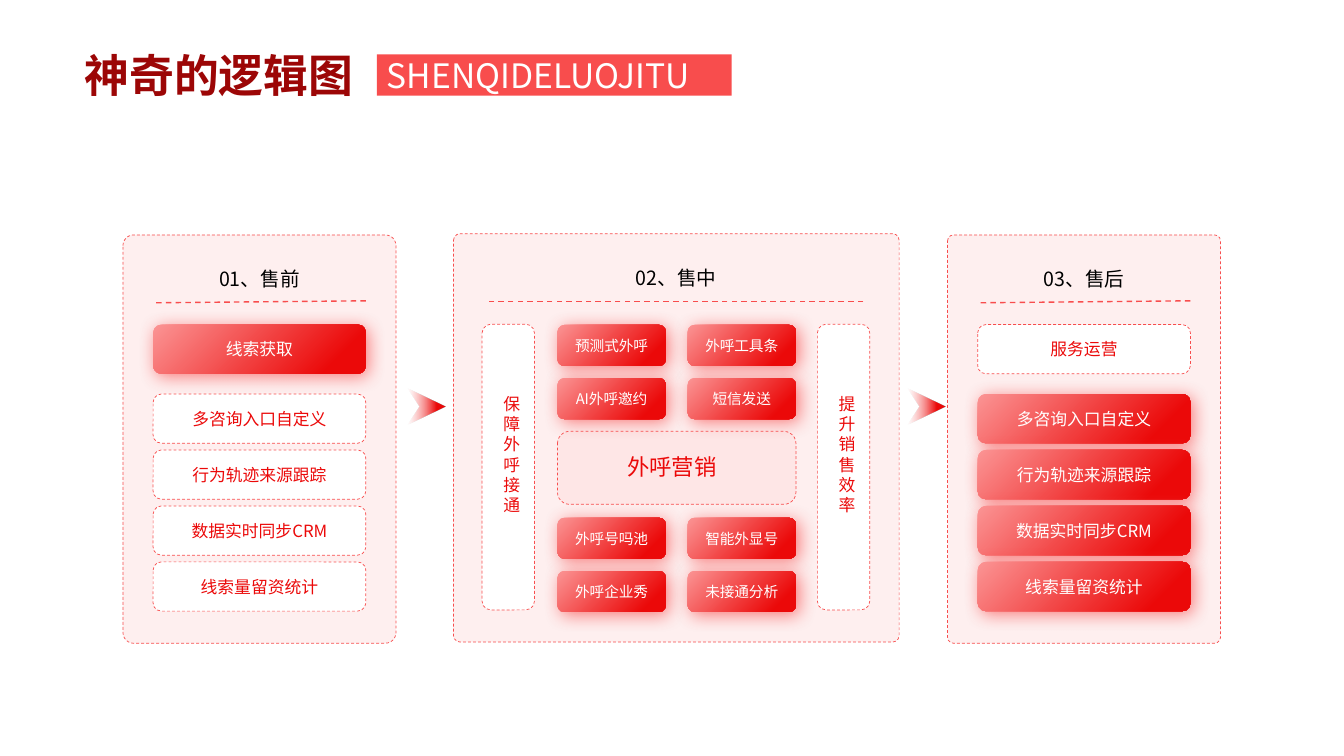
from collections import namedtuple
from dataclasses import dataclass

from lxml.etree import SubElement
from pptx import Presentation
from pptx.dml.color import RGBColor
from pptx.enum.dml import MSO_LINE
from pptx.enum.shapes import MSO_CONNECTOR, MSO_SHAPE
from pptx.enum.text import MSO_ANCHOR, PP_ALIGN
from pptx.oxml.ns import qn
from pptx.util import Cm, Pt

Box = namedtuple("Box", "left top width height")


@dataclass(frozen=True)
class Theme:
    """Colours, fonts and type sizes of the slide."""
    white: str = "FFFFFF"
    black: str = "000000"
    red: str = "EB0909"
    coral: str = "F84D4D"
    pink: str = "FB9494"
    blush: str = "FEDBDB"
    maroon: str = "9C0606"
    blush_opacity: int = 43
    label_font: str = "Noto Sans CJK JP"
    heading_font: str = "Noto Sans CJK SC"
    title_size: float = 32
    banner_size: float = 24
    centre_size: float = 16
    heading_size: float = 14
    label_size: float = 12
    small_size: float = 10.5
    column_leading: float = 14.4


THEME = Theme()
SERVICES = ["多咨询入口自定义", "行为轨迹来源跟踪", "数据实时同步CRM", "线索量留资统计"]


def inside(box, left, top, width, height):
    """Return a box placed relative to the corner of another box."""
    return Box(box.left + left, box.top + top, width, height)


def add_colour(parent, colour, opacity=100):
    """Append a colour element, with alpha when it is not opaque."""
    element = SubElement(parent, qn("a:srgbClr"), val=colour)
    if opacity < 100:
        SubElement(element, qn("a:alpha"), val=str(opacity * 1000))


def set_gradient(fill, properties, stops, angle):
    """Fill with a linear gradient of (position, colour, opacity) stops."""
    fill.gradient()
    gradient = properties.find(qn("a:gradFill"))
    for child in list(gradient):
        gradient.remove(child)
    stop_list = SubElement(gradient, qn("a:gsLst"))
    for position, colour, opacity in stops:
        stop = SubElement(stop_list, qn("a:gs"), pos=str(position * 1000))
        add_colour(stop, colour, opacity)
    SubElement(gradient, qn("a:lin"), ang=str(angle * 60000), scaled="0")


def write_text(shape, text, size, colour, font=THEME.label_font,
               align=PP_ALIGN.CENTER, margins=(0, 0, 0, 0)):
    """Write one styled run into a shape, centred vertically, and return it."""
    frame = shape.text_frame
    frame.word_wrap = True
    frame.vertical_anchor = MSO_ANCHOR.MIDDLE
    frame.margin_left, frame.margin_top, frame.margin_right, frame.margin_bottom = map(Cm, margins)
    para = frame.paragraphs[0]
    para.alignment = align
    span = para.add_run()
    span.text = text
    span.font.size = Pt(size)
    span.font.color.rgb = RGBColor.from_string(colour)
    span.font.name = font
    SubElement(span.font._element, qn("a:ea"), typeface=font)
    return span


def add_card(page, box, fill, opacity=100, radius=None):
    """Add a rounded card with a dashed outline."""
    card = page.shapes.add_shape(MSO_SHAPE.ROUNDED_RECTANGLE, *map(Cm, box))
    card.shadow.inherit = False
    if radius is not None:
        card.adjustments[0] = radius
    card.fill.solid()
    card.fill.fore_color.rgb = RGBColor.from_string(fill)
    if opacity < 100:
        colour = card._element.spPr.find(qn("a:solidFill"))[0]
        SubElement(colour, qn("a:alpha"), val=str(opacity * 1000))
    card.line.color.rgb = RGBColor.from_string(THEME.coral)
    card.line.width = Pt(0.5)
    card.line.dash_style = MSO_LINE.DASH
    return card


def add_button(page, box, text, size):
    """Add a glowing red gradient button."""
    button = page.shapes.add_shape(MSO_SHAPE.ROUNDED_RECTANGLE, *map(Cm, box))
    button.shadow.inherit = False
    properties = button._element.spPr
    set_gradient(button.fill, properties, [(0, THEME.pink, 100), (84, THEME.red, 100)], 45)
    button.line.fill.background()
    shadow = SubElement(properties.find(qn("a:effectLst")), qn("a:outerShdw"),
                        blurRad=str(Pt(13)), dist=str(Pt(3)), dir="2700000",
                        algn="tl", rotWithShape="0")
    add_colour(shadow, THEME.coral, 70)
    write_text(button, text, size, THEME.white)


def add_panel(page, box, heading, radius, rule_inset, rule_rise):
    """Add a stage panel with its heading and dashed rule."""
    add_card(page, box, THEME.blush, THEME.blush_opacity, radius)
    heading_box = inside(box, 0, 0.69, box.width, 0.84)
    write_text(page.shapes.add_textbox(*map(Cm, heading_box)), heading,
               THEME.heading_size, THEME.black, THEME.heading_font)
    rule_top = box.top + 1.71
    rule = page.shapes.add_connector(
        MSO_CONNECTOR.STRAIGHT,
        Cm(box.left + box.width - rule_inset), Cm(rule_top - rule_rise),
        Cm(box.left + rule_inset), Cm(rule_top))
    rule.line.color.rgb = RGBColor.from_string(THEME.coral)
    rule.line.width = Pt(1)
    rule.line.dash_style = MSO_LINE.DASH
    SubElement(rule._element.spPr, qn("a:effectLst"))


def add_side_stage(page, box, heading, lead, radius, lead_is_button):
    """Add a panel with a lead item above the list of services."""
    add_panel(page, box, heading, radius, 0.76, 0.05)
    tops = [2.26] + [4.01 + 1.41 * row for row in range(len(SERVICES))]
    for index, (top, text) in enumerate(zip(tops, [lead] + SERVICES)):
        item_box = inside(box, 0.76, top, 5.36, 1.24)
        if (index == 0) == lead_is_button:
            add_button(page, item_box, text, THEME.label_size)
        else:
            write_text(add_card(page, item_box, THEME.white), text, THEME.label_size, THEME.red)


def add_middle_stage(page, box, heading):
    """Add the panel with two columns around a grid of calling tools."""
    add_panel(page, box, heading, 0.016, 0.9, 0)
    for left, text in ((0.72, "保障外呼接通"), (9.17, "提升销售效率")):
        column = add_card(page, inside(box, left, 2.28, 1.32, 7.2), THEME.white)
        write_text(column, text, THEME.label_size, THEME.red, margins=(0.45, 0, 0.27, 0.64))
        column.text_frame.paragraphs[0].line_spacing = Pt(THEME.column_leading)
    tools = [("预测式外呼", "外呼工具条"), ("AI外呼邀约", "短信发送"),
             ("外呼号吗池", "智能外显号"), ("外呼企业秀", "未接通分析")]
    for row, pair in enumerate(tools):
        top = (2.3 if row < 2 else 7.16) + 1.34 * (row % 2)
        for column_index, text in enumerate(pair):
            tool_box = inside(box, 2.62 + 3.28 * column_index, top, 2.73, 1.03)
            add_button(page, tool_box, text, THEME.small_size)
    centre = add_card(page, inside(box, 2.62, 4.98, 6.01, 1.84), THEME.blush, THEME.blush_opacity)
    write_text(centre, "外呼营销", THEME.centre_size, THEME.red, THEME.heading_font,
               margins=(0, 0, 0.25, 0.05))


def add_arrow(page, box):
    """Add a notched arrowhead that fades in to the right."""
    right, bottom, middle = box.left + box.width, box.top + box.height, box.top + box.height / 2
    builder = page.shapes.build_freeform(Cm(box.left), Cm(box.top))
    points = [(right, middle), (box.left, bottom), (box.left + 0.3, middle)]
    builder.add_line_segments([(Cm(x), Cm(y)) for x, y in points], close=True)
    arrow = builder.convert_to_shape()
    arrow.shadow.inherit = False
    set_gradient(arrow.fill, arrow._element.spPr,
                 [(0, THEME.pink, 0), (76, THEME.red, 100)], 0)
    arrow.line.fill.background()


def add_title(page, box):
    """Add the title and its romanised banner."""
    title = page.shapes.add_textbox(*map(Cm, inside(box, 0, 0, 8.81, 1.63)))
    span = write_text(title, "神奇的逻辑图", THEME.title_size, THEME.maroon,
                      THEME.heading_font, PP_ALIGN.LEFT, (0.25, 0, 0.25, 0))
    span.font.bold = True
    set_gradient(span.font.fill, span.font._element,
                 [(0, THEME.maroon, 100), (100, THEME.coral, 100)], 225)
    banner = page.shapes.add_shape(MSO_SHAPE.RECTANGLE, *map(Cm, inside(box, 7.62, 0.3, 8.94, 1.04)))
    banner.shadow.inherit = False
    banner.fill.solid()
    banner.fill.fore_color.rgb = RGBColor.from_string(THEME.coral)
    banner.line.fill.background()
    write_text(banner, "SHENQIDELUOJITU", THEME.banner_size, THEME.white,
               align=PP_ALIGN.JUSTIFY, margins=(0.25, 0, 0.25, 0))


def main():
    """Build the slide and save the deck."""
    deck = Presentation()
    deck.slide_width, deck.slide_height = Cm(33.87), Cm(19.05)
    page = deck.slides.add_slide(deck.slide_layouts[6])
    add_title(page, Box(1.88, 1.07, 16.56, 1.63))
    add_side_stage(page, Box(3.1, 5.92, 6.88, 10.29), "01、售前", "线索获取", 0.039, True)
    add_middle_stage(page, Box(11.43, 5.89, 11.23, 10.29), "02、售中")
    add_side_stage(page, Box(23.88, 5.92, 6.88, 10.29), "03、售后", "服务运营", 0.022, False)
    for left in (10.27, 22.87):
        add_arrow(page, Box(left, 9.78, 0.95, 0.92))
    deck.save("out.pptx")


if __name__ == "__main__":
    main()
